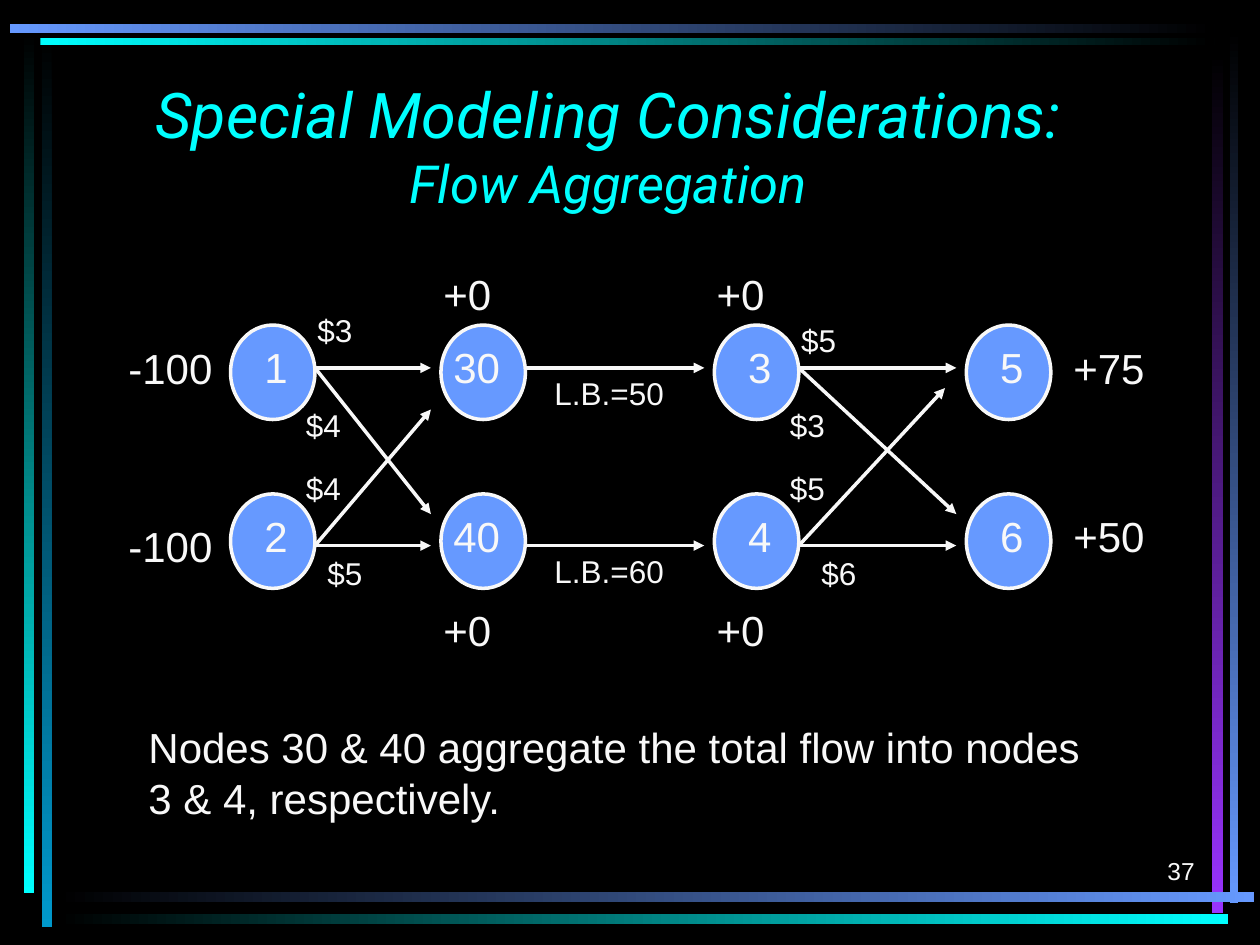
from dataclasses import dataclass

from lxml import etree
from pptx import Presentation
from pptx.dml.color import RGBColor
from pptx.enum.shapes import MSO_CONNECTOR, MSO_SHAPE
from pptx.enum.text import MSO_ANCHOR, PP_ALIGN
from pptx.oxml.ns import qn
from pptx.util import Inches, Pt

RECTANGLE, OVAL = MSO_SHAPE.RECTANGLE, MSO_SHAPE.OVAL
STRAIGHT = MSO_CONNECTOR.STRAIGHT
LEFT, CENTER, RIGHT = PP_ALIGN.LEFT, PP_ALIGN.CENTER, PP_ALIGN.RIGHT
TOP, BOTTOM = MSO_ANCHOR.TOP, MSO_ANCHOR.BOTTOM


@dataclass(frozen=True)
class Theme:
    black: RGBColor = RGBColor(0x00, 0x00, 0x00)
    white: RGBColor = RGBColor(0xF8, 0xF8, 0xF8)
    blue: RGBColor = RGBColor(0x66, 0x99, 0xFF)
    cyan: RGBColor = RGBColor(0x00, 0xFF, 0xFF)
    teal: RGBColor = RGBColor(0x00, 0x99, 0xCC)
    purple: RGBColor = RGBColor(0x99, 0x33, 0xFF)
    body_font: str = "Arial"
    title_font: str = "Roboto"
    title: Pt = Pt(36)
    subtitle: Pt = Pt(30)
    body: Pt = Pt(24)
    cost: Pt = Pt(18)
    number: Pt = Pt(14)
    line: Pt = Pt(2)


THEME = Theme()


def add_text(slide, text, left, top, width, height, size=THEME.body, align=LEFT, anchor=TOP):
    box = slide.shapes.add_textbox(Inches(left), Inches(top), Inches(width), Inches(height))
    frame = box.text_frame
    frame.word_wrap = True
    frame.vertical_anchor = anchor
    paragraph = frame.paragraphs[0]
    paragraph.text = text
    paragraph.alignment = align
    paragraph.font.name = THEME.body_font
    paragraph.font.size = size
    paragraph.font.color.rgb = THEME.white
    return paragraph


def add_bar(slide, left, top, width, height, start, end):
    """Thin bar whose colour runs from start to end along its length."""
    bar = slide.shapes.add_shape(
        RECTANGLE, Inches(left), Inches(top), Inches(width), Inches(height))
    bar.shadow.inherit = False
    bar.line.fill.background()
    bar.fill.gradient()
    bar.fill.gradient_angle = 0 if width > height else 270
    for stop, color in zip(bar.fill.gradient_stops, (start, end)):
        stop.color.rgb = color


def add_arrow(slide, x1, y1, x2, y2):
    arrow = slide.shapes.add_connector(
        STRAIGHT, Inches(x1), Inches(y1), Inches(x2), Inches(y2))
    arrow.line.color.rgb = THEME.white
    arrow.line.width = THEME.line
    etree.SubElement(arrow.line._get_or_add_ln(), qn("a:tailEnd"), type="triangle")
    etree.SubElement(arrow._element.spPr, qn("a:effectLst"))


def add_node(slide, name, left, top):
    circle = slide.shapes.add_shape(
        OVAL, Inches(left), Inches(top), Inches(0.67), Inches(0.75))
    circle.shadow.inherit = False
    circle.fill.solid()
    circle.fill.fore_color.rgb = THEME.blue
    circle.line.color.rgb = THEME.white
    circle.line.width = THEME.line
    # One digit sits further in than two
    inset, width = (0.17, 0.33) if len(name) == 1 else (0, 0.67)
    add_text(slide, name, left + inset, top + 0.08, width, 0.5)


def add_frame(slide, width, height):
    black = THEME.black
    # Left side, fading upwards
    add_bar(slide, 0.33, 0.28, 0.08, height - 0.42, black, THEME.teal)
    add_bar(slide, 0.19, 0.25, 0.08, height - 0.66, black, THEME.cyan)
    # Right side, fading upwards
    add_bar(slide, width - 0.24, 0.24, 0.07, height - 0.57, black, THEME.blue)
    add_bar(slide, width - 0.38, 0.42, 0.09, height - 0.67, black, THEME.purple)
    # Bottom, fading to the left
    add_bar(slide, 0.45, height - 0.42, width - 0.5, 0.08, black, THEME.blue)
    add_bar(slide, 0.45, height - 0.25, width - 0.7, 0.08, black, THEME.cyan)
    # Top, fading to the right
    add_bar(slide, 0.32, 0.3, width - 0.68, 0.06, THEME.cyan, black)
    add_bar(slide, 0.08, 0.19, width - 0.44, 0.07, THEME.blue, black)


def add_title(slide, left, top, width, height):
    paragraph = add_text(slide, "", left, top, width, height, THEME.title, CENTER, BOTTOM)
    paragraph.font.name = THEME.title_font
    paragraph.font.italic = True
    paragraph.font.color.rgb = THEME.cyan
    paragraph.add_run().text = "Special Modeling Considerations:"
    paragraph.add_line_break()
    subtitle = paragraph.add_run()
    subtitle.text = "Flow Aggregation"
    subtitle.font.size = THEME.subtitle


def add_network(slide, left, top):
    columns = [left + x for x in (0.91, 2.58, 4.75, 6.75)]
    rows = [top + y for y in (0.5, 1.84)]
    ports = [top + y for y in (0.84, 2.25)]
    exits = [column + 0.67 for column in columns]

    # Nodes, one column at a time
    for column, names in zip(columns, (("1", "2"), ("30", "40"), ("3", "4"), ("5", "6"))):
        for row, name in zip(rows, names):
            add_node(slide, name, column, row)

    # Supply, demand and balance
    for text, x, y in (("-100", left, 0.59), ("-100", left, 2),
                       ("+75", columns[3] + 0.75, 0.59), ("+50", columns[3] + 0.75, 1.92)):
        add_text(slide, text, x, top + y, 1.08, 0.5)
    for column in columns[1:3]:
        for y in (0, 2.67):
            add_text(slide, "+0", column - 0.08, top + y, 0.83, 0.5)

    # Straight arcs, then the crossing ones
    for start, end in zip(exits, columns[1:]):
        for port in ports:
            add_arrow(slide, start, port, end - 0.08, port)
    for start, end, rise_end, rise in ((0, 1, 0.08, 1.17), (2, 3, 0.17, 1)):
        add_arrow(slide, exits[start], ports[0], columns[end] - 0.08, top + 2)
        add_arrow(slide, exits[start], ports[1], columns[end] - rise_end, top + rise)

    # Arc costs, placed from the node the arc leaves
    for start, costs in (
        (0, (("$3", -0.08, 0.34), ("$4", -0.17, 1.09), ("$4", -0.17, 1.59), ("$5", 0, 2.27))),
        (2, (("$5", -0.08, 0.42), ("$3", -0.17, 1.09), ("$5", -0.17, 1.59), ("$6", 0.08, 2.27))),
    ):
        for text, x, y in costs:
            add_text(slide, text, exits[start] + x, top + y, 0.58, 0.4, THEME.cost)

    # Lower bounds
    for text, port in zip(("L.B.=50", "L.B.=60"), ports):
        add_text(slide, text, exits[1] + 0.08, port, 1.17, 0.4, THEME.cost, CENTER)


def main():
    presentation = Presentation()
    presentation.slide_width, presentation.slide_height = Inches(10), Inches(7.5)
    slide = presentation.slides.add_slide(presentation.slide_layouts[6])
    slide.background.fill.solid()
    slide.background.fill.fore_color.rgb = THEME.black

    add_frame(slide, 10, 7.5)
    add_title(slide, 0.58, 0.67, 8.5, 1.08)
    add_network(slide, 0.92, 2.08)
    add_text(slide, "Nodes 30 & 40 aggregate the total flow into nodes 3 & 4, respectively.",
             1.08, 5.68, 7.83, 0.9)
    add_text(slide, "37", 7.5, 6.58, 2.08, 0.5, THEME.number, RIGHT, BOTTOM)
    presentation.save("out.pptx")


if __name__ == "__main__":
    main()
